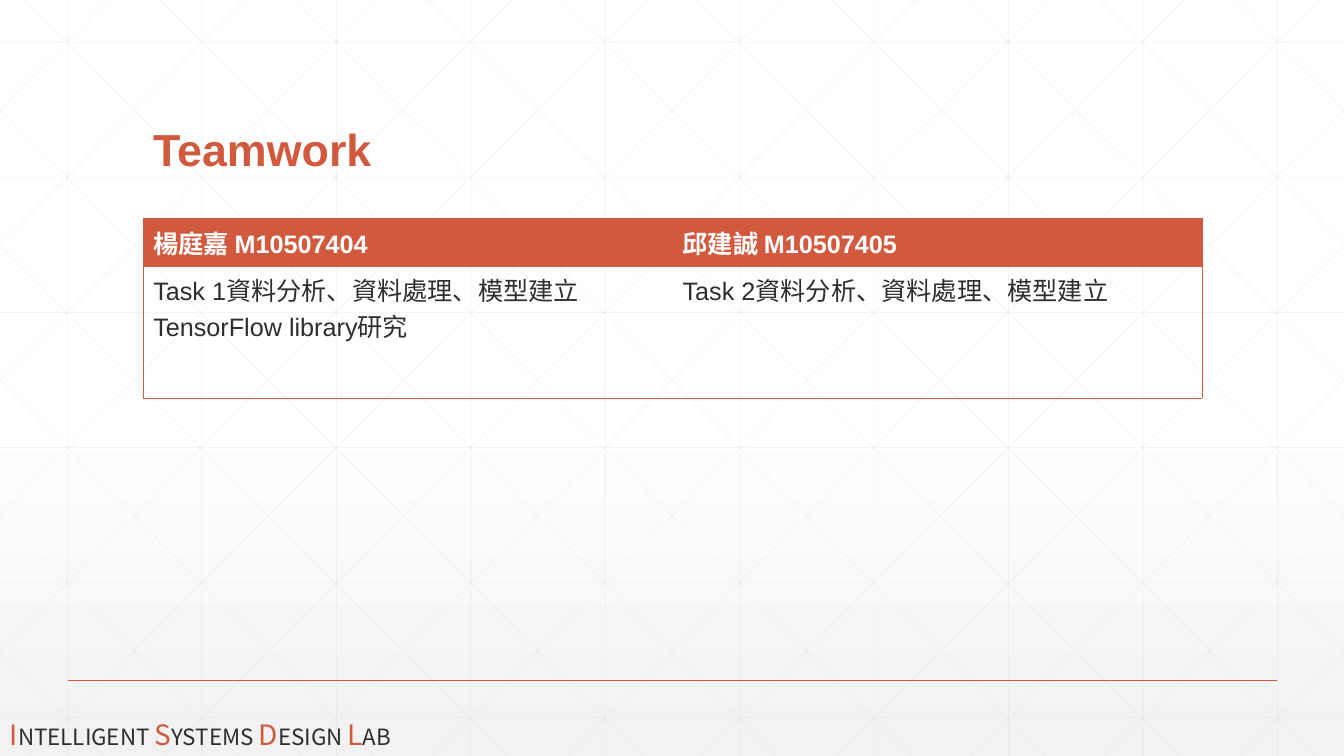
from pptx import Presentation
from pptx.dml.color import RGBColor
from pptx.enum import shapes, text
from pptx.oxml import ns, xmlchemy
from pptx.util import Inches, Pt

WIDTH, HEIGHT = 13.33, 7.5
ORANGE = RGBColor(0xD1, 0x5A, 0x3E)
DARK = RGBColor(0x2D, 0x2E, 0x2D)
GRID_GREY = RGBColor(0xD9, 0xD9, 0xD9)
WHITE = RGBColor(0xFF, 0xFF, 0xFF)
PALE_GREY = RGBColor(0xF2, 0xF2, 0xF2)
BODY_FONT = "Arial"
LAB_FONT = "Noto Sans CJK SC"

MEMBERS = [
    ("楊庭嘉 M10507404",
     ["Task 1資料分析、資料處理、模型建立", "TensorFlow library研究"]),
    ("邱建誠 M10507405", ["Task 2資料分析、資料處理、模型建立"]),
]


def add_child(parent, tag, **attributes):
    """Append an XML element with the given attributes and return it."""
    child = xmlchemy.OxmlElement(tag)
    for name, value in attributes.items():
        child.set(name, str(value))
    parent.append(child)
    return child


def set_background(slide):
    """Fade the slide from white to pale grey in its lower half."""
    fill = slide.background.fill
    fill.gradient()
    fill.gradient_angle = 270
    for stop, position, color in zip(fill.gradient_stops, (0.53, 1), (WHITE, PALE_GREY)):
        stop.position = position
        stop.color.rgb = color


def add_line(slide, start, end, color, width, opacity=100):
    """Draw a straight line between two points given in inches."""
    line = slide.shapes.add_connector(
        shapes.MSO_CONNECTOR.STRAIGHT, *map(Inches, (*start, *end)))
    line.line.color.rgb = color
    line.line.width = Pt(width)
    properties = line._element.spPr
    if opacity < 100:
        color_element = properties.find(".//" + ns.qn("a:srgbClr"))
        add_child(color_element, "a:alpha", val=opacity * 1000)
    add_child(properties, "a:effectLst")


def add_grid(slide):
    """Draw the faint vertical, horizontal and diagonal grid lines."""
    step = 4 / 3
    run = 7.45  # sideways travel of a diagonal over the slide height
    slope = HEIGHT / run
    segments = []
    for column in range(10):
        x = 0.67 + column * step
        segments.append(((x, 0), (x, HEIGHT)))
    for row in range(6):
        y = 0.42 + row * 1.34
        segments.append(((0, y), (WIDTH, y)))
    for index in range(-5, 10):
        top_x = 0.25 + index * step
        left, right = max(top_x, 0), min(top_x + run, WIDTH)
        top, bottom = (left - top_x) * slope, (right - top_x) * slope
        segments.append(((left, top), (right, bottom)))
        segments.append(((WIDTH - left, top), (WIDTH - right, bottom)))
    for start, end in segments:
        add_line(slide, start, end, GRID_GREY, 0.5, opacity=25)


def add_text_box(slide, left, top, width, height, anchor):
    """Add a wrapping text box and return its first paragraph."""
    box = slide.shapes.add_textbox(*map(Inches, (left, top, width, height)))
    box.text_frame.word_wrap = True
    box.text_frame.vertical_anchor = anchor
    return box.text_frame.paragraphs[0]


def style_font(font, name, size, color, bold=False):
    """Set the face, size, colour and weight of a font."""
    font.name = name
    font.size = Pt(size)
    font.color.rgb = color
    font.bold = bold


def add_title(slide, title):
    """Add the slide title."""
    paragraph = add_text_box(slide, 1.42, 0.55, 10.5, 1.25, text.MSO_ANCHOR.BOTTOM)
    paragraph.text = title
    paragraph.line_spacing = 0.9
    style_font(paragraph.font, BODY_FONT, 32, ORANGE, bold=True)


def add_lab_name(slide, name):
    """Add the lab name in capitals with large orange initials."""
    paragraph = add_text_box(slide, 0, 7.07, 5.25, 0.44, text.MSO_ANCHOR.TOP)
    words = name.upper().split()
    for index, word in enumerate(words):
        gap = " " if index < len(words) - 1 else ""
        for part, size, color in ((word[0], 20, ORANGE), (word[1:] + gap, 16, DARK)):
            run = paragraph.add_run()
            run.text = part
            style_font(run.font, LAB_FONT, size, color)


def set_borders(cell, visible):
    """Outline the named sides of a cell in orange and clear the others."""
    properties = cell._tc.get_or_add_tcPr()
    for position, side in enumerate("LRTB"):
        border = xmlchemy.OxmlElement("a:ln" + side)
        border.set("w", str(Pt(0.5)))
        if side in visible:
            fill = add_child(border, "a:solidFill")
            add_child(fill, "a:srgbClr", val=ORANGE)
        else:
            add_child(border, "a:noFill")
        properties.insert(position, border)


def fill_cell(cell, lines, color, bold):
    """Write one paragraph per line into a cell."""
    cell.text = "\n".join(lines)
    for paragraph in cell.text_frame.paragraphs:
        style_font(paragraph.font, BODY_FONT, 18, color, bold)


def add_team_table(slide, members):
    """Add the table with one column of tasks for each member."""
    heights = (0.47, 1.31)
    frame = slide.shapes.add_table(
        2, len(members), Inches(1.42), Inches(2.17), Inches(10.5), Inches(sum(heights)))
    table = frame.table
    table.horz_banding = False
    for row, height in zip(table.rows, heights):
        row.height = Inches(height)
    for column, (member, tasks) in enumerate(members):
        header, body = table.cell(0, column), table.cell(1, column)
        outer_side = "L" if column == 0 else "R"
        header.fill.solid()
        header.fill.fore_color.rgb = ORANGE
        fill_cell(header, [member], WHITE, bold=True)
        set_borders(header, "TB" + outer_side)
        body.fill.background()
        fill_cell(body, tasks, DARK, bold=False)
        set_borders(body, "TB" + outer_side)


def main():
    """Build the teamwork slide and save it."""
    presentation = Presentation()
    presentation.slide_width = Inches(WIDTH)
    presentation.slide_height = Inches(HEIGHT)
    slide = presentation.slides.add_slide(presentation.slide_layouts[6])
    set_background(slide)
    add_grid(slide)
    add_line(slide, (0.67, 6.75), (12.67, 6.75), ORANGE, 1)
    add_lab_name(slide, "Intelligent Systems Design Lab")
    add_title(slide, "Teamwork")
    add_team_table(slide, MEMBERS)
    presentation.save("out.pptx")


main()
